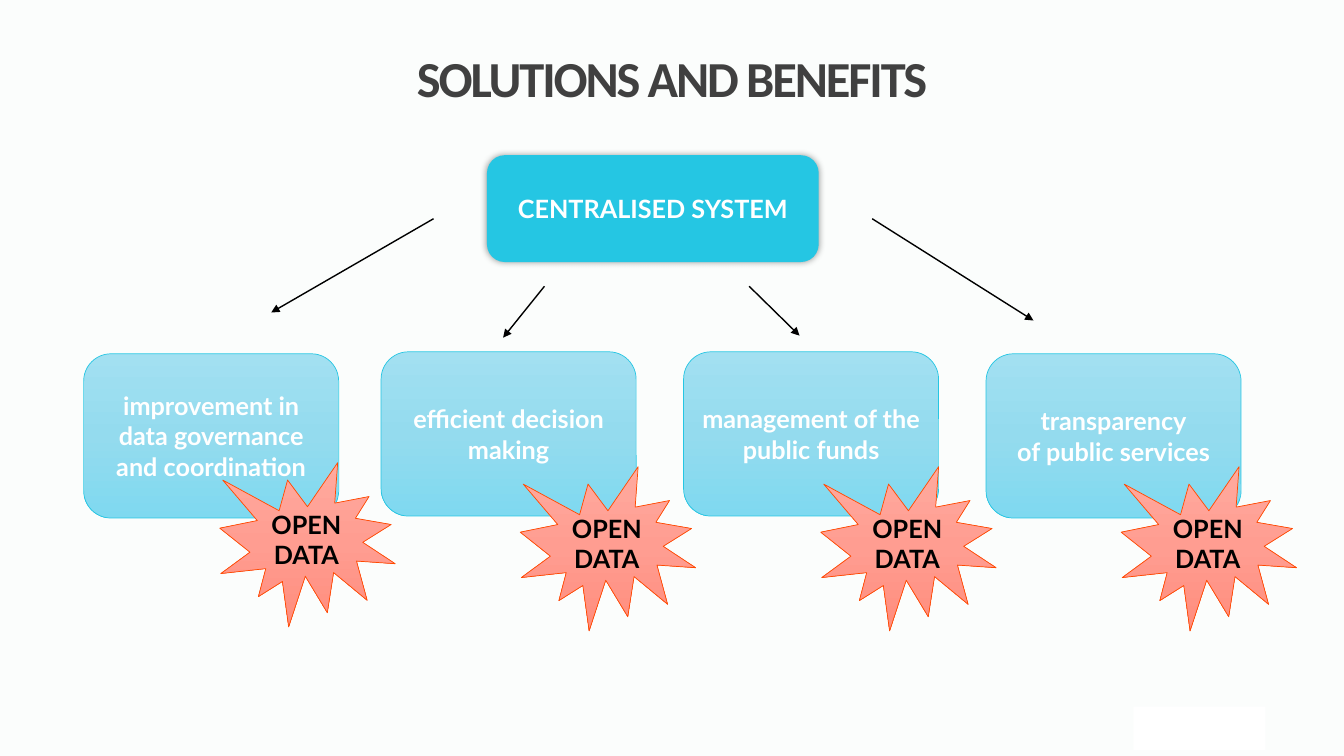
from copy import deepcopy

from lxml import etree
from pptx import Presentation
from pptx.dml.color import RGBColor
from pptx.enum.shapes import MSO_CONNECTOR, MSO_SHAPE
from pptx.enum.text import MSO_ANCHOR, PP_ALIGN
from pptx.oxml.ns import qn
from pptx.util import Inches, Pt

COLORS = {
    "background": "FBFDFC", "title": "404040", "white": "FFFFFF", "black": "000000",
    "cyan": "25C6E3", "orange": "FF4A01",
}
GRADIENTS = {
    "benefit": ("A2E0F1", "94DBEE", "7FD9F0"),
    "badge": ("FFAA9E", "FF9D91", "FF8C7C"),
}
BENEFITS = [
    (0.83, 3.51, "improvement in data governance and coordination"),
    (3.78, 3.49, "efficient decision making"),
    (6.78, 3.49, "management of the public funds"),
    (9.78, 3.51, "transparency\nof public services"),
]
BADGE_TOPS = [4.59, 4.63, 4.63, 4.63]
ARROWS = [
    (4.3, 2.17, 2.69, 3.1), (5.4, 2.84, 4.99, 3.35),
    (7.43, 2.84, 7.93, 3.33), (8.65, 2.17, 10.25, 3.18),
]


def rgb(name):
    """Return the palette colour called name."""
    return RGBColor.from_string(COLORS[name])


def write(shape, text, color, size=18, font="Lato"):
    """Fill a shape with centred bold text."""
    frame = shape.text_frame
    frame.word_wrap = True
    frame.vertical_anchor = MSO_ANCHOR.MIDDLE
    frame.text = text
    for paragraph in frame.paragraphs:
        paragraph.alignment = PP_ALIGN.CENTER
        face = paragraph.runs[0].font
        face.name, face.size, face.bold = font, Pt(size), True
        face.color.rgb = rgb(color)


def add_block(slide, kind, box, fill=None, gradient=None, line=None):
    """Add a preset shape with a solid or vertical gradient fill."""
    shape = slide.shapes.add_shape(kind, *map(Inches, box))
    shape.shadow.inherit = False
    if gradient:
        shape.fill.gradient()
        shape.fill.gradient_angle = 270
        stops = shape.fill._fill._gradFill.find(qn("a:gsLst"))
        middle = deepcopy(stops[0])
        middle.set("pos", "50000")
        stops.insert(1, middle)
        for stop, color in zip(shape.fill.gradient_stops, GRADIENTS[gradient]):
            stop.color.rgb = RGBColor.from_string(color)
    else:
        shape.fill.solid()
        shape.fill.fore_color.rgb = rgb(fill)
    if line:
        shape.line.color.rgb = rgb(line)
        shape.line.width = Pt(0.5)
    else:
        shape.line.fill.background()
    return shape


def add_title(slide, box):
    """Add the slide heading."""
    title = slide.shapes.add_textbox(*map(Inches, box))
    write(title, "SOLUTIONS AND BENEFITS", "title", 36, "Calibri")
    frame = title.text_frame
    frame.margin_left = frame.margin_right = frame.margin_top = frame.margin_bottom = 0
    paragraph = frame.paragraphs[0]
    paragraph.line_spacing = 0.9
    paragraph.runs[0].font._element.set("spc", "-150")


def add_system(slide, box):
    """Add the central system box with its soft glow of shadow."""
    system = add_block(slide, MSO_SHAPE.ROUNDED_RECTANGLE, box, fill="cyan")
    write(system, "CENTRALISED SYSTEM", "white")
    effects = system._element.spPr.find(qn("a:effectLst"))
    shadow = etree.SubElement(effects, qn("a:outerShdw"), blurRad=str(Pt(5)), dist="0", dir="0")
    color = etree.SubElement(shadow, qn("a:srgbClr"), val=COLORS["black"])
    etree.SubElement(color, qn("a:alpha"), val="40000")


def add_arrow(slide, ends):
    """Add a thin arrow between two points."""
    arrow = slide.shapes.add_connector(MSO_CONNECTOR.STRAIGHT, *map(Inches, ends))
    arrow.line.color.rgb = rgb("black")
    arrow.line.width = Pt(1)
    etree.SubElement(arrow.line._ln, qn("a:tailEnd"), type="triangle")
    etree.SubElement(arrow._element.spPr, qn("a:effectLst"))


def add_benefit(slide, box, text):
    """Add one benefit card."""
    card = add_block(slide, MSO_SHAPE.ROUNDED_RECTANGLE, box, gradient="benefit", line="cyan")
    write(card, text, "white")


def add_badge(slide, box):
    """Add one open data starburst."""
    badge = add_block(slide, MSO_SHAPE.EXPLOSION1, box, gradient="badge", line="orange")
    write(badge, "OPEN DATA", "black")


def build():
    """Build and save the presentation."""
    deck = Presentation()
    deck.slide_width, deck.slide_height = Inches(13.33), Inches(7.5)
    slide = deck.slides.add_slide(deck.slide_layouts[6])
    slide.background.fill.solid()
    slide.background.fill.fore_color.rgb = rgb("background")
    add_title(slide, (0.47, 0.17, 12.39, 1.27))
    add_block(slide, MSO_SHAPE.RECTANGLE, (11.24, 7.01, 1.31, 0.43), fill="white")
    add_system(slide, (4.83, 1.54, 3.29, 1.06))
    for ends in ARROWS:
        add_arrow(slide, ends)
    for left, top, text in BENEFITS:
        add_benefit(slide, (left, top, 2.53, 1.63), text)
    for index, top in enumerate(BADGE_TOPS):
        add_badge(slide, (2.18 + 2.98 * index, top, 1.74, 1.63))
    deck.save("out.pptx")


build()
